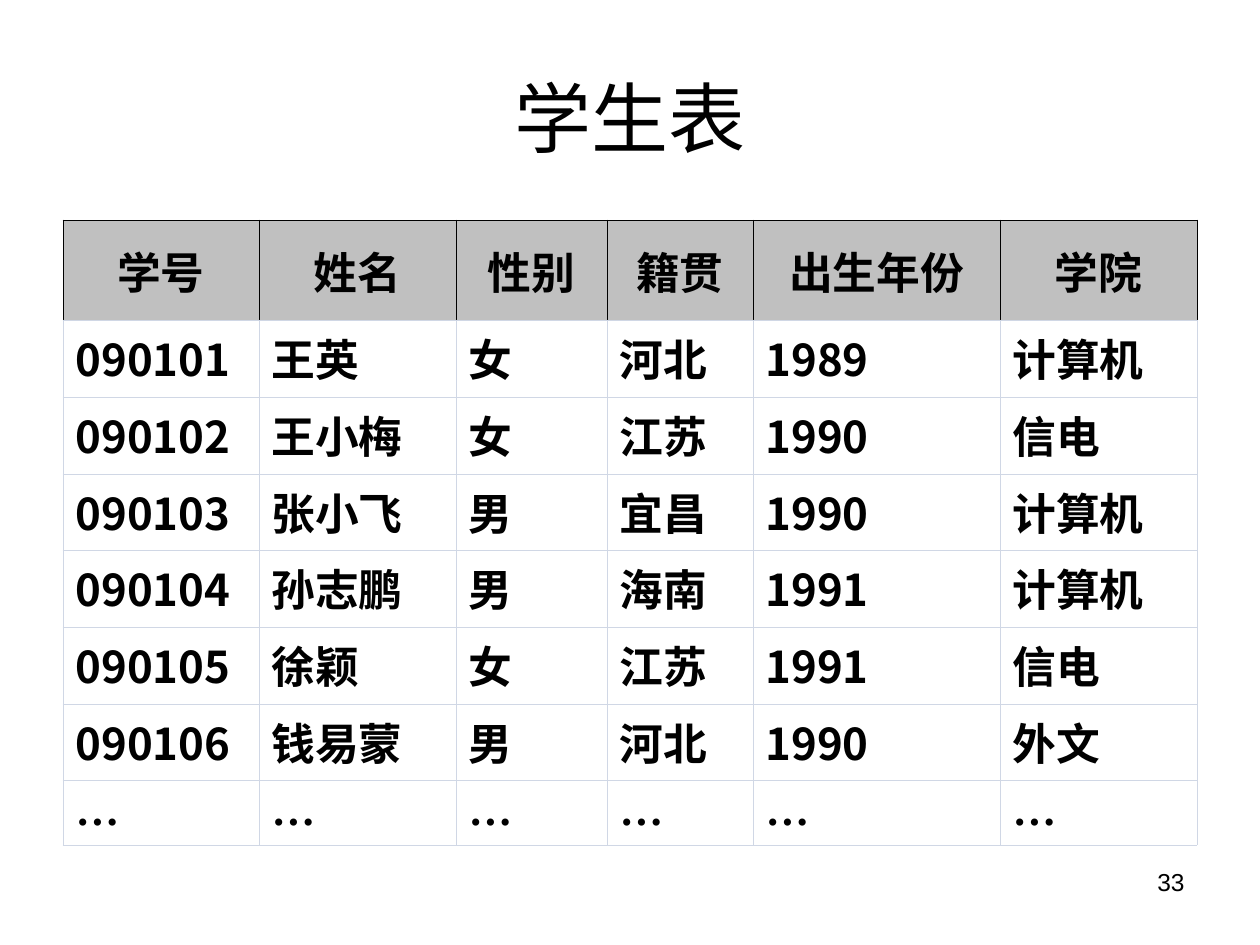
from dataclasses import dataclass

from lxml.etree import SubElement
from pptx import Presentation
from pptx.dml.color import RGBColor
from pptx.enum.text import MSO_ANCHOR, PP_ALIGN
from pptx.oxml.ns import qn
from pptx.util import Emu, Pt

SCALE = 914400 / 126


@dataclass(frozen=True)
class Theme:
    text: str = "000000"
    header_fill: str = "C0C0C0"
    body_fill: str = "FFFFFF"
    header_line: str = "000000"
    body_line: str = "D0D7E5"
    line_width: float = 0.45
    title_size: int = 44
    table_size: int = 25
    number_size: int = 14
    sans: str = "Arial"
    serif: str = "Times New Roman"
    chinese: str = "Noto Sans CJK SC"


theme = Theme()


def px(length):
    return Emu(round(length * SCALE))


def write_text(frame, text, *, size, font, east_asian=theme.chinese, bold=False,
               align=PP_ALIGN.LEFT, anchor=MSO_ANCHOR.TOP):
    """Fill a text frame with one formatted run, naming Latin and East Asian fonts."""
    frame.word_wrap = True
    frame.vertical_anchor = anchor
    paragraph = frame.paragraphs[0]
    paragraph.alignment = align
    run = paragraph.add_run()
    run.text = text
    run.font.size = Pt(size)
    run.font.bold = bold
    run.font.color.rgb = RGBColor.from_string(theme.text)
    run.font.name = font
    SubElement(run.font._element, qn("a:ea"), typeface=east_asian)


presentation = Presentation()
presentation.slide_width = px(1260)
presentation.slide_height = px(945)
slide = presentation.slides.add_slide(presentation.slide_layouts[5])

title = slide.shapes.title
title.left, title.top, title.width, title.height = px(63), px(38), px(1134), px(158)
write_text(title.text_frame, "学生表", size=theme.title_size, font=theme.sans,
           align=PP_ALIGN.CENTER, anchor=MSO_ANCHOR.MIDDLE)

student_rows = [
    ("学号", "姓名", "性别", "籍贯", "出生年份", "学院"),
    ("090101", "王英", "女", "河北", "1989", "计算机"),
    ("090102", "王小梅", "女", "江苏", "1990", "信电"),
    ("090103", "张小飞", "男", "宜昌", "1990", "计算机"),
    ("090104", "孙志鹏", "男", "海南", "1991", "计算机"),
    ("090105", "徐颖", "女", "江苏", "1991", "信电"),
    ("090106", "钱易蒙", "男", "河北", "1990", "外文"),
    ("…",) * 6,
]
column_widths = [196, 197, 151, 146, 247, 197]
row_heights = [100] + [77, 77, 76] * 2 + [65]

table = slide.shapes.add_table(
    len(student_rows), len(column_widths), px(63), px(220),
    px(sum(column_widths)), px(sum(row_heights))).table
table.first_row = False
table.horz_banding = False
for column, width in zip(table.columns, column_widths):
    column.width = px(width)
for row, height in zip(table.rows, row_heights):
    row.height = px(height)

for row_index, values in enumerate(student_rows):
    is_header = row_index == 0
    is_ellipsis = row_index == len(student_rows) - 1
    for column_index, value in enumerate(values):
        cell = table.cell(row_index, column_index)
        write_text(cell.text_frame, value, size=theme.table_size, bold=True,
                   font=theme.serif if is_header or is_ellipsis else theme.chinese,
                   east_asian=theme.serif if is_ellipsis else theme.chinese,
                   align=PP_ALIGN.CENTER if is_header else PP_ALIGN.LEFT)
        cell.vertical_anchor = MSO_ANCHOR.MIDDLE if is_header else MSO_ANCHOR.TOP
        properties = cell._tc.get_or_add_tcPr()
        for side in ("lnL", "lnR", "lnT", "lnB"):
            dark = is_header and side != "lnB"
            line = SubElement(properties, qn(f"a:{side}"), w=str(Pt(theme.line_width)))
            fill = SubElement(line, qn("a:solidFill"))
            SubElement(fill, qn("a:srgbClr"),
                       val=theme.header_line if dark else theme.body_line)
        cell.fill.solid()
        cell.fill.fore_color.rgb = RGBColor.from_string(
            theme.header_fill if is_header else theme.body_fill)

slide_number = slide.shapes.add_textbox(px(903), px(861), px(294), px(66))
write_text(slide_number.text_frame, "33", size=theme.number_size, font=theme.sans,
           align=PP_ALIGN.RIGHT)

presentation.save("out.pptx")
